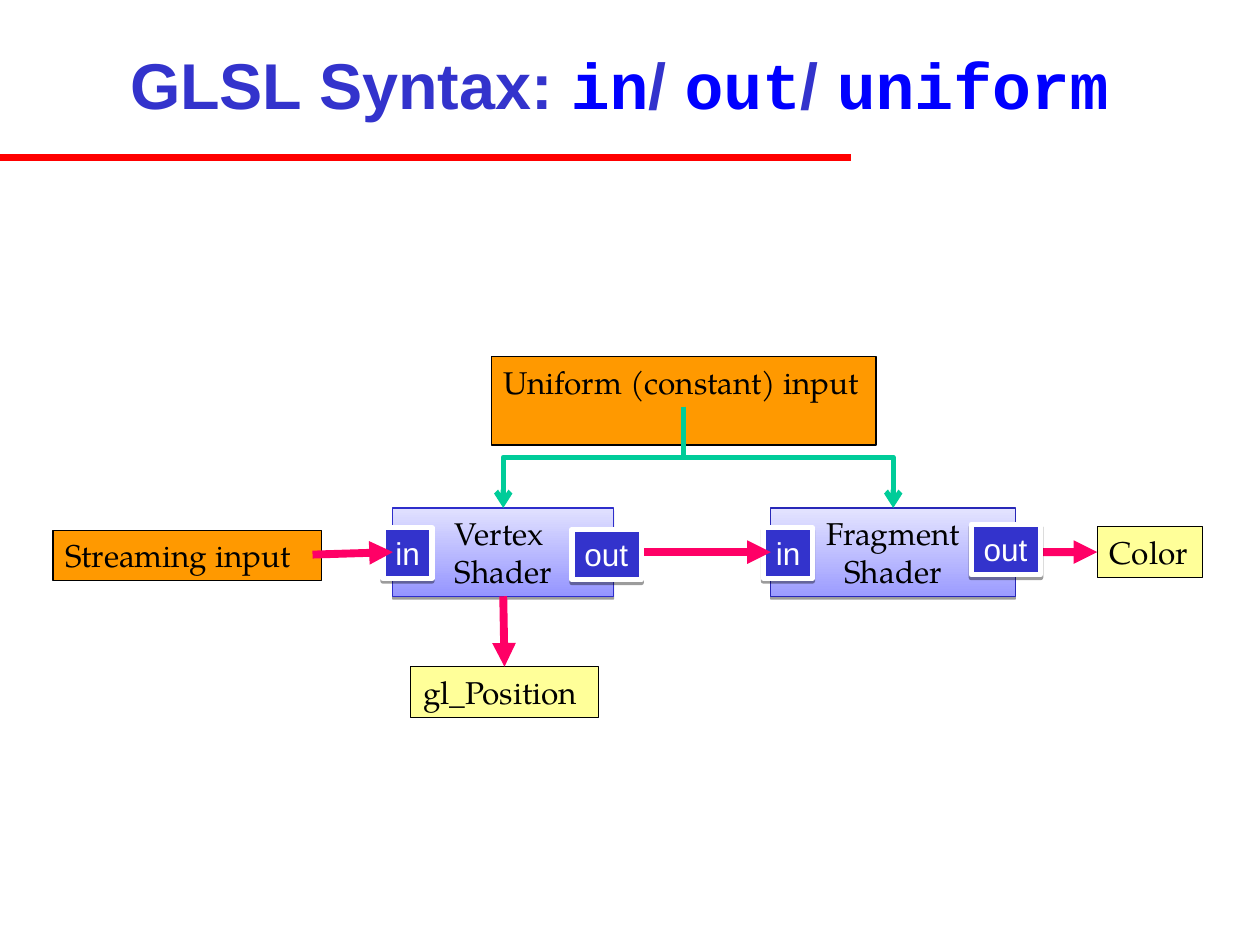
from dataclasses import dataclass
from typing import Optional

from lxml import etree
from pptx import Presentation
from pptx.dml.color import RGBColor
from pptx.enum.shapes import MSO_CONNECTOR, MSO_SHAPE
from pptx.enum.text import MSO_ANCHOR, PP_ALIGN
from pptx.oxml import parse_xml
from pptx.oxml.ns import qn
from pptx.util import Cm, Pt

STRAIGHT, ELBOW = MSO_CONNECTOR.STRAIGHT, MSO_CONNECTOR.ELBOW
RECT = MSO_SHAPE.RECTANGLE
TOP, MIDDLE = MSO_ANCHOR.TOP, MSO_ANCHOR.MIDDLE
LEFT, CENTER = PP_ALIGN.LEFT, PP_ALIGN.CENTER
SIDE_TOP, SIDE_LEFT, SIDE_BOTTOM, SIDE_RIGHT = range(4)

BLACK = RGBColor(0x00, 0x00, 0x00)
WHITE = RGBColor(0xFF, 0xFF, 0xFF)
RED = RGBColor(0xFF, 0x00, 0x00)
BLUE = RGBColor(0x00, 0x00, 0xFF)
INDIGO = RGBColor(0x33, 0x33, 0xCC)
ORANGE = RGBColor(0xFF, 0x99, 0x00)
YELLOW = RGBColor(0xFF, 0xFF, 0x99)
PINK = RGBColor(0xFF, 0x00, 0x66)
GREEN = RGBColor(0x00, 0xCC, 0x99)
VERTEX_DARK = RGBColor(0x95, 0x95, 0xFF)
VERTEX_LIGHT = RGBColor(0xE1, 0xE1, 0xFF)
VERTEX_EDGE = RGBColor(0x2E, 0x2E, 0xCB)
FRAGMENT_DARK = RGBColor(0x9C, 0x9C, 0xFF)
FRAGMENT_LIGHT = RGBColor(0xE4, 0xE4, 0xFF)
FRAGMENT_EDGE = RGBColor(0x28, 0x28, 0xB8)

SERIF, SANS, MONO = "TeX Gyre Pagella", "Arial", "Courier New"
SHADOW = (
    '<a:effectLst xmlns:a="http://schemas.openxmlformats.org/drawingml/2006/main">'
    '<a:outerShdw blurRad="0" dist="20320" dir="5400000" rotWithShape="0">'
    '<a:srgbClr val="000000"><a:alpha val="38000"/></a:srgbClr>'
    "</a:outerShdw></a:effectLst>"
)


@dataclass(frozen=True)
class Box:
    text: str
    x: float
    y: float
    w: float
    h: float
    fill: tuple
    edge: RGBColor = BLACK
    edge_pt: float = 0.75
    font: str = SERIF
    color: RGBColor = BLACK
    align: PP_ALIGN = LEFT
    wrap: bool = True
    shadow: bool = False


@dataclass(frozen=True)
class Arrow:
    target: str
    side: int
    source: Optional[str] = None
    start: tuple = (0, 0)


BOXES = [
    Box("Vertex \nShader", 7.92, 10.24, 4.45, 1.78, (VERTEX_DARK, VERTEX_LIGHT),
        VERTEX_EDGE, align=CENTER, shadow=True),
    Box("Streaming input", 1.07, 10.69, 5.41, 1.02, (ORANGE,)),
    Box("Color", 22.12, 10.62, 2.13, 1.02, (YELLOW,), wrap=False),
    Box("Uniform (constant) input", 9.91, 7.19, 7.75, 1.78, (ORANGE,)),
    Box("Fragment\nShader", 15.54, 10.24, 4.93, 1.78, (FRAGMENT_DARK, FRAGMENT_LIGHT),
        FRAGMENT_EDGE, align=CENTER, shadow=True),
    Box("gl_Position", 8.28, 13.44, 3.78, 1.02, (YELLOW,)),
]
VERTEX, _, COLOR, _, FRAGMENT, POSITION = [b.text for b in BOXES]


def badge(text: str, x: float, y: float, w: float) -> Box:
    return Box(text, x, y, w, 1.02, (INDIGO,), WHITE, 3, SANS, WHITE,
               wrap=False, shadow=True)


IN_BADGES = [badge("in", x, 10.64, 0.99) for x in (7.72, 15.39)]
OUT_BADGES = [badge("out", 11.53, 10.67, 1.4), badge("out", 19.58, 10.57, 1.4)]
ARROWS = [
    Arrow(COLOR, SIDE_LEFT, FRAGMENT),
    Arrow(VERTEX, SIDE_LEFT, start=(6.3, 11.18)),
    Arrow(FRAGMENT, SIDE_LEFT, VERTEX),
    Arrow(POSITION, SIDE_TOP, VERTEX),
]
FORK = (13.78, 8.2)
TITLE = [("GLSL Syntax: ", SANS, INDIGO), ("in", MONO, BLUE), ("/ ", SANS, INDIGO),
         ("out", MONO, BLUE), ("/ ", SANS, INDIGO), ("uniform", MONO, BLUE)]


def format_run(r, color: RGBColor, **values) -> None:
    for name, value in values.items():
        setattr(r.font, name, value)
    r.font.color.rgb = color


def add_title(s) -> None:
    tf = s.shapes.add_textbox(Cm(0), Cm(0.2), Cm(24.97), Cm(2.97)).text_frame
    tf.word_wrap, tf.vertical_anchor = True, MIDDLE
    p = tf.paragraphs[0]
    p.alignment = CENTER
    for text, font, color in TITLE:
        r = p.add_run()
        r.text = text
        format_run(r, color, name=font, size=Pt(37), bold=True)


def add_box(s, box: Box):
    sp = s.shapes.add_shape(RECT, Cm(box.x), Cm(box.y), Cm(box.w), Cm(box.h))
    if len(box.fill) > 1:
        sp.fill.gradient()
        sp.fill.gradient_angle = 90
        for stop, color in zip(sp.fill.gradient_stops, box.fill):
            stop.color.rgb = color
    else:
        sp.fill.solid()
        sp.fill.fore_color.rgb = box.fill[0]
    sp.line.color.rgb = box.edge
    sp.line.width = Pt(box.edge_pt)
    if box.shadow:
        sp._element.spPr.append(parse_xml(SHADOW))
    else:
        sp.shadow.inherit = False
    tf = sp.text_frame
    tf.word_wrap, tf.vertical_anchor = box.wrap, TOP
    p = tf.paragraphs[0]
    p.text, p.alignment = box.text, box.align
    for r in p.runs:
        format_run(r, box.color, name=box.font, size=Pt(18))
    return sp


def add_line(s, kind, start: tuple, end: tuple, color: RGBColor, width: float,
             head: Optional[str] = None):
    c = s.shapes.add_connector(kind, *(Cm(v) for v in start + end))
    c.line.color.rgb = color
    c.line.width = Pt(width)
    if head:
        etree.SubElement(c.line._get_or_add_ln(), qn("a:tailEnd"), type=head)
    etree.SubElement(c._element.spPr, qn("a:effectLst"))
    return c


def add_arrow(s, arrow: Arrow, shapes: dict) -> None:
    c = add_line(s, STRAIGHT, arrow.start, arrow.start, PINK, 4.5, "triangle")
    if arrow.source:
        side = SIDE_BOTTOM if arrow.side == SIDE_TOP else SIDE_RIGHT
        c.begin_connect(shapes[arrow.source], side)
    c.end_connect(shapes[arrow.target], arrow.side)


def add_fork(s, target) -> None:
    c = add_line(s, ELBOW, FORK, FORK, GREEN, 3, "arrow")
    c.end_connect(target, SIDE_TOP)
    x1, y1 = Cm(FORK[0]), Cm(FORK[1])
    x2, y2 = target.left + target.width // 2, target.top
    c.width, c.height = y2 - y1, abs(x2 - x1)
    c.left = (x1 + x2 - c.width) // 2
    c.top = (y1 + y2 - c.height) // 2
    xfrm = c._element.spPr.xfrm
    xfrm.flipH = x2 > x1
    xfrm.set("rot", str((270 if x2 > x1 else 90) * 60000))


def main() -> None:
    prs = Presentation()
    prs.slide_width, prs.slide_height = Cm(25.4), Cm(19.05)
    s = prs.slides.add_slide(prs.slide_layouts[6])
    add_line(s, STRAIGHT, (0, 3.18), (17.15, 3.18), RED, 4)
    add_title(s)
    shapes = {box.text: add_box(s, box) for box in BOXES}
    for name in (VERTEX, FRAGMENT):
        add_fork(s, shapes[name])
    for box in IN_BADGES:
        add_box(s, box)
    for arrow in ARROWS:
        add_arrow(s, arrow, shapes)
    for box in OUT_BADGES:
        add_box(s, box)
    prs.save("out.pptx")


if __name__ == "__main__":
    main()
